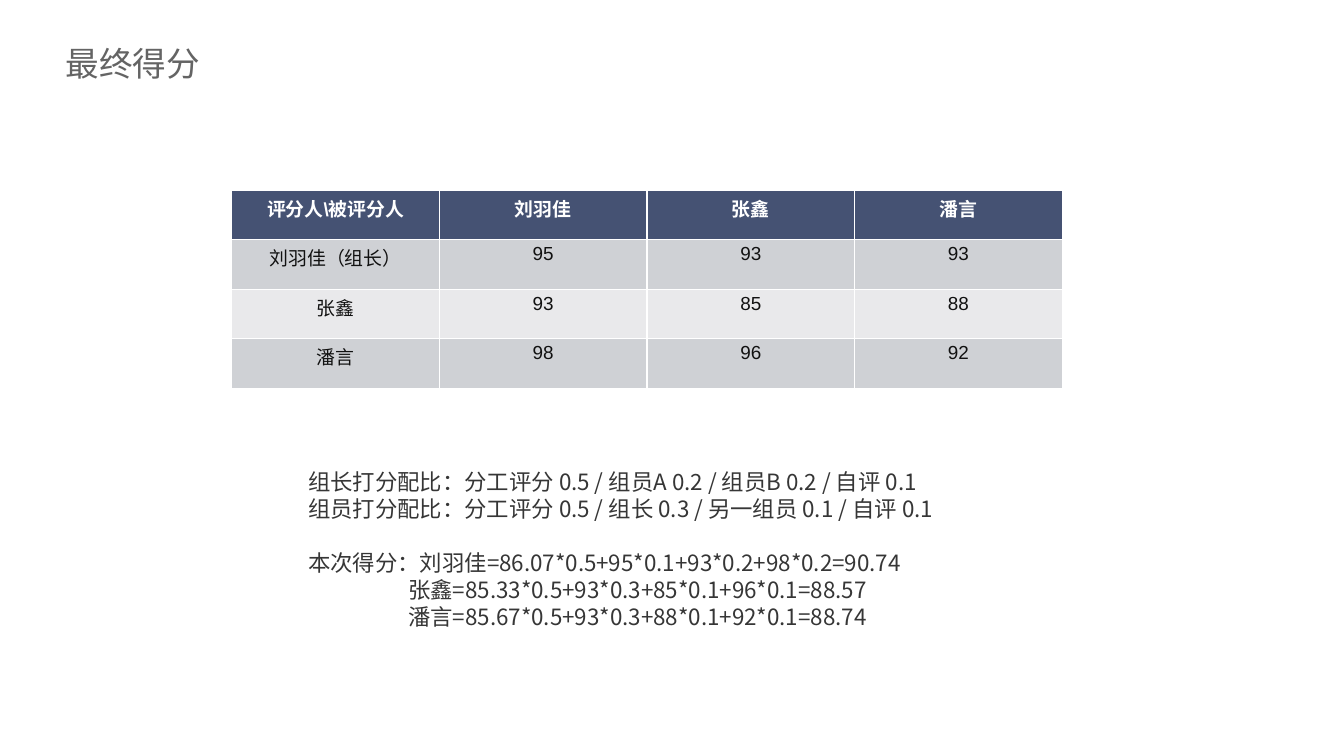
import pptx
import pptx.util
import pptx.dml.color
import pptx.enum.text
import pptx.oxml.ns
import lxml.etree
from pptx.util import Cm

# Content
TITLE = "最终得分"
SCORES = [
    ("评分人\\被评分人", "刘羽佳", "张鑫", "潘言"),
    ("刘羽佳（组长）", "95", "93", "93"),
    ("张鑫", "93", "85", "88"),
    ("潘言", "98", "96", "92"),
]
# Each line: text, indent in cm, space before in points
LINES = [
    ("组长打分配比：分工评分 0.5 / 组员A 0.2 / 组员B 0.2 / 自评 0.1", 0, 0),
    ("组员打分配比：分工评分 0.5 / 组长 0.3 / 另一组员 0.1 / 自评 0.1", 0, 0),
    ("本次得分：刘羽佳=86.07*0.5+95*0.1+93*0.2+98*0.2=90.74", 0, 19.2),
    ("张鑫=85.33*0.5+93*0.3+85*0.1+96*0.1=88.57", 2.52, 0),
    ("潘言=85.67*0.5+93*0.3+88*0.1+92*0.1=88.74", 2.52, 0),
]

# Formats
COLORS = {"title": "646464", "header": "455273", "white": "FFFFFF",
          "cell": "111111", "odd": "CFD1D5", "even": "E9E9EB", "body": "363636"}
CJK = "Noto Sans CJK SC"
FORMATS = {
    "title": {"name": CJK, "size": pptx.util.Pt(24), "bold": False},
    "header": {"name": "Arial", "size": pptx.util.Pt(13.5), "bold": True},
    "cell": {"name": "Arial", "size": pptx.util.Pt(13.5), "bold": False},
    "body": {"name": CJK, "size": pptx.util.Pt(16), "bold": False},
}
ALIGN = pptx.enum.text.PP_ALIGN


def rgb(key):
    return pptx.dml.color.RGBColor.from_string(COLORS[key])


def write(p, text, style, color, align):
    p.alignment = align
    r = p.add_run()
    r.text = text
    for name, value in FORMATS[style].items():
        setattr(r.font, name, value)
    r.font.color.rgb = rgb(color)
    ea = lxml.etree.SubElement(r._r.get_or_add_rPr(), pptx.oxml.ns.qn("a:ea"))
    ea.set("typeface", CJK)


prs = pptx.Presentation()
prs.slide_width, prs.slide_height = Cm(33.87), Cm(19.05)
s = prs.slides.add_slide(prs.slide_layouts[5])

# Title
title = s.shapes.title
title.left, title.top, title.width, title.height = Cm(1.65), Cm(0.76), Cm(20.5), Cm(1.65)
tf = title.text_frame
tf.margin_left = tf.margin_right = 0
tf.vertical_anchor = pptx.enum.text.MSO_ANCHOR.MIDDLE
write(tf.paragraphs[0], TITLE, "title", "title", ALIGN.LEFT)

# Score table
table = s.shapes.add_table(len(SCORES), len(SCORES[0]),
                           Cm(5.84), Cm(4.8), Cm(20.93), Cm(4.98)).table
for i, row in enumerate(SCORES):
    fill = "header" if i == 0 else "odd" if i % 2 else "even"
    style, color = ("header", "white") if i == 0 else ("cell", "cell")
    for j, text in enumerate(row):
        cell = table.cell(i, j)
        cell.fill.solid()
        cell.fill.fore_color.rgb = rgb(fill)
        cell.margin_left = cell.margin_right = Cm(0.18)
        cell.margin_top = cell.margin_bottom = Cm(0.1)
        write(cell.text_frame.paragraphs[0], text, style, color, ALIGN.CENTER)

# Weights and results
tf = s.shapes.add_textbox(Cm(7.52), Cm(11.68), Cm(18.82), Cm(4.37)).text_frame
tf.word_wrap = True
for i, (text, indent, before) in enumerate(LINES):
    p = tf.add_paragraph() if i else tf.paragraphs[0]
    p.line_spacing = pptx.util.Pt(19.2)
    if before:
        p.space_before = pptx.util.Pt(before)
    if indent:
        p._p.get_or_add_pPr().set("marL", str(Cm(indent)))
    write(p, text, "body", "body", ALIGN.LEFT)

prs.save("out.pptx")
